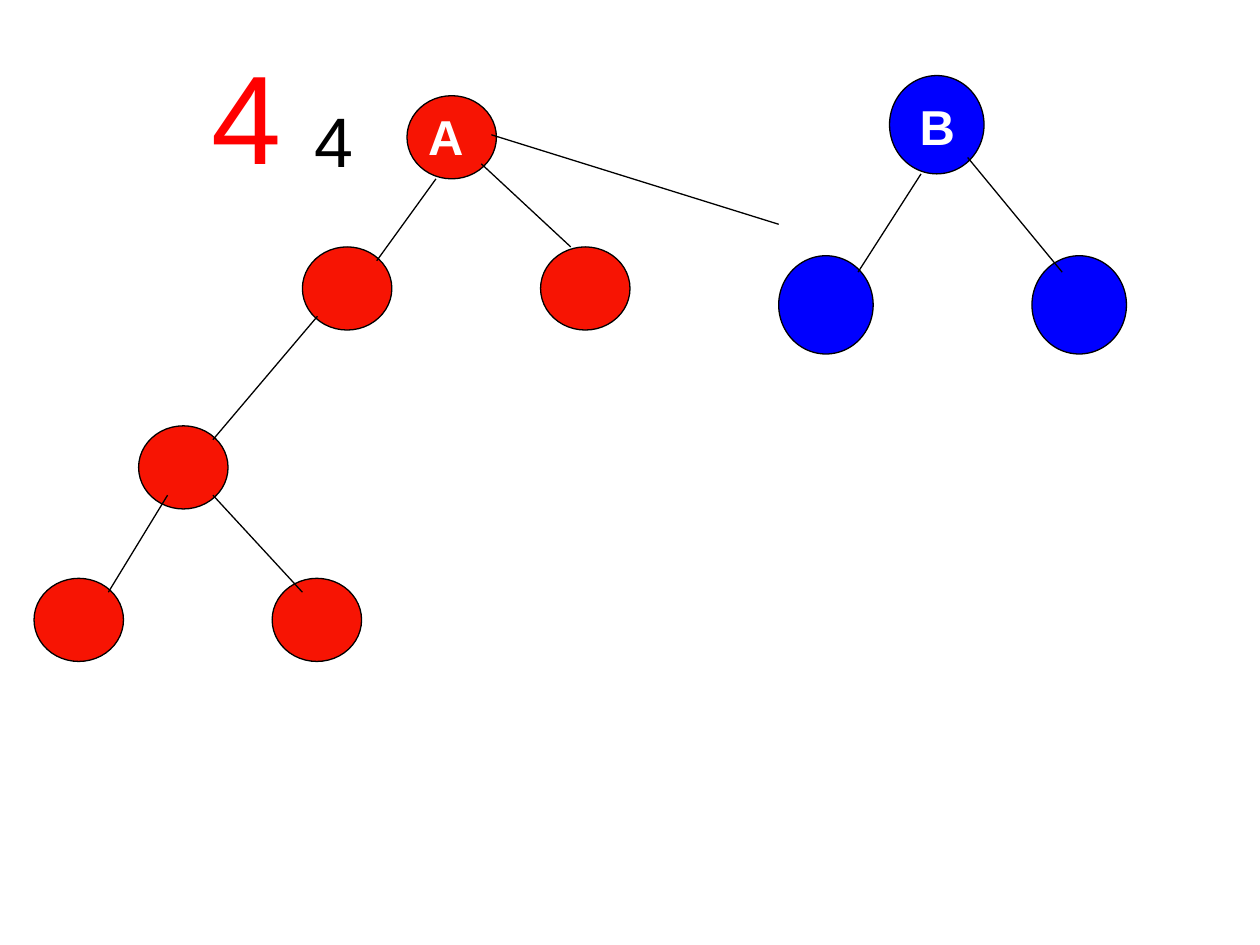
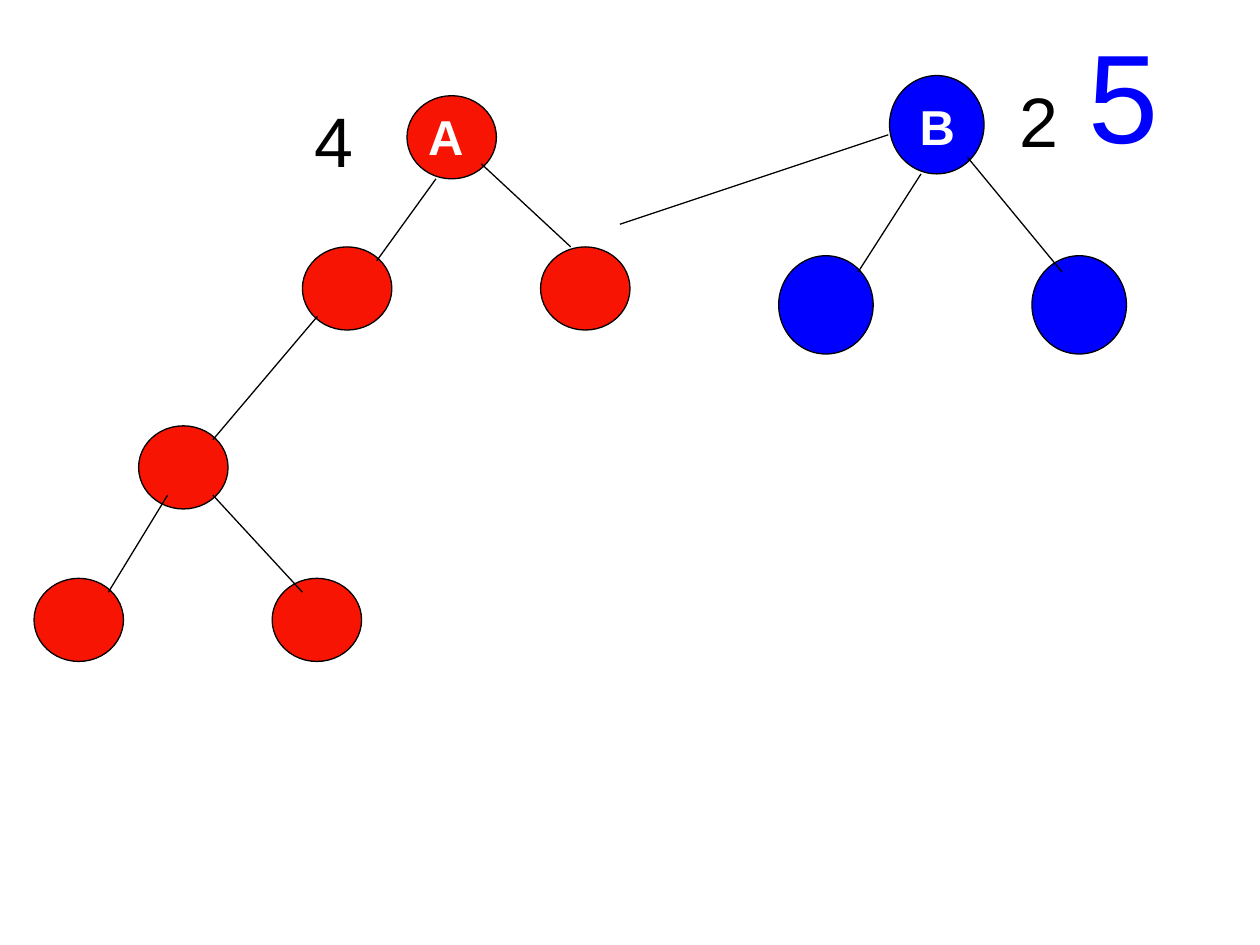
"""Builds two slides that compare linking tree A under B with linking B under A."""
from dataclasses import dataclass, replace
from typing import Any

from lxml.etree import SubElement
from pptx import Presentation
from pptx.dml.color import RGBColor
from pptx.enum.shapes import MSO_CONNECTOR, MSO_SHAPE
from pptx.enum.text import MSO_AUTO_SIZE, MSO_ANCHOR
from pptx.oxml.ns import qn
from pptx.util import Inches, Pt

Point = tuple[float, float]
Edge = tuple[Point, Point]


@dataclass(frozen=True)
class Theme:
    font: str = "Arial"
    red_node: str = "F71403"
    red_text: str = "FF0000"
    blue: str = "0000FF"
    black: str = "000000"
    white: str = "FFFFFF"
    name_size: int = 28
    rank_size: int = 40
    result_size: int = 72
    line_width: float = 0.75
    side_inset: float = 0.1
    edge_inset: float = 0.05
    drop_per_point: float = 0.0012


THEME = Theme()


@dataclass(frozen=True)
class Label:
    text: str
    corner: Point
    size: Point
    points: int
    color: str
    bold: bool = False


@dataclass(frozen=True)
class Tree:
    color: str
    node_size: Point
    nodes: tuple[Point, ...]
    edges: tuple[Edge, ...]
    labels: tuple[Label, ...]


@dataclass(frozen=True)
class LinkSlide:
    trees: tuple[Tree, ...]
    link: Edge
    result: Label


def set_values(target: Any, values: dict[str, Any]) -> None:
    """Set each named attribute of the target."""
    for name, value in values.items():
        setattr(target, name, value)


def style_line(line: Any) -> None:
    """Give an outline or edge the shared stroke."""
    line.color.rgb = RGBColor.from_string(THEME.black)
    line.width = Pt(THEME.line_width)


def draw_node(shapes: Any, tree: Tree, corner: Point) -> None:
    """Draw one round node of a tree."""
    node = shapes.add_shape(MSO_SHAPE.OVAL, *map(Inches, corner + tree.node_size))
    node.shadow.inherit = False
    node.fill.solid()
    node.fill.fore_color.rgb = RGBColor.from_string(tree.color)
    style_line(node.line)


def draw_edge(shapes: Any, edge: Edge) -> None:
    """Draw a straight edge between two points."""
    start, end = edge
    connector = shapes.add_connector(MSO_CONNECTOR.STRAIGHT, *map(Inches, start + end))
    style_line(connector.line)
    SubElement(connector._element.spPr, qn("a:effectLst"))


def draw_label(shapes: Any, label: Label) -> None:
    """Write a name or a rank in its own text box."""
    box = shapes.add_textbox(*map(Inches, label.corner + label.size))
    frame = box.text_frame
    set_values(frame, {
        "word_wrap": True,
        "auto_size": MSO_AUTO_SIZE.SHAPE_TO_FIT_TEXT,
        "vertical_anchor": MSO_ANCHOR.TOP,
        "margin_left": Inches(THEME.side_inset),
        "margin_right": Inches(THEME.side_inset),
        "margin_top": Inches(THEME.edge_inset + label.points * THEME.drop_per_point),
        "margin_bottom": 0,
    })
    run = frame.paragraphs[0].add_run()
    run.text = label.text
    set_values(run.font, {"name": THEME.font, "size": Pt(label.points), "bold": label.bold})
    run.font.color.rgb = RGBColor.from_string(label.color)


def draw_tree(shapes: Any, tree: Tree) -> None:
    """Draw a tree as one group."""
    group = shapes.add_group_shape().shapes
    for corner in tree.nodes:
        draw_node(group, tree, corner)
    for edge in tree.edges:
        draw_edge(group, edge)
    for label in tree.labels:
        draw_label(group, label)


def name_label(text: str, corner: Point, width: float) -> Label:
    """Describe the name of a root node."""
    return Label(text, corner, (width, 0.57), THEME.name_size, THEME.white, True)


def rank_label(text: str, corner: Point, width: float) -> Label:
    """Describe the rank beside a root node."""
    return Label(text, corner, (width, 0.77), THEME.rank_size, THEME.black)


def result_label(text: str, corner: Point, color: str) -> Label:
    """Describe the large rank that follows from a link."""
    return Label(text, corner, (1.65, 1.3), THEME.result_size, color)


TREE_A = Tree(
    color=THEME.red_node,
    node_size=(0.71, 0.66),
    nodes=((3.23, 0.76), (2.4, 1.96), (4.29, 1.96), (1.1, 3.38), (0.27, 4.59), (2.16, 4.59)),
    edges=(
        ((3.46, 1.42), (2.99, 2.07)),
        ((2.52, 2.51), (1.69, 3.49)),
        ((1.33, 3.93), (0.86, 4.7)),
        ((1.69, 3.93), (2.4, 4.7)),
        ((3.82, 1.3), (4.53, 1.96)),
    ),
    labels=(name_label("A", (3.3, 0.76), 0.83), rank_label("4", (2.4, 0.68), 1.02)),
)
TREE_B = Tree(
    color=THEME.blue,
    node_size=(0.75, 0.78),
    nodes=((7.06, 0.6), (6.18, 2.03), (8.19, 2.03)),
    edges=(((7.31, 1.38), (6.81, 2.16)), ((7.68, 1.25), (8.43, 2.16))),
    labels=(name_label("B", (7.2, 0.68), 0.47),),
)
RANKED_TREE_B = replace(TREE_B, labels=TREE_B.labels + (rank_label("2", (7.99, 0.52), 0.79),))

LINK_SLIDES = (
    LinkSlide((TREE_A, TREE_B), ((3.9, 1.07), (6.18, 1.78)),
              result_label("4", (1.58, 0.17), THEME.red_text)),
    LinkSlide((RANKED_TREE_B, TREE_A), ((7.05, 1.07), (4.92, 1.78)),
              result_label("5", (8.54, 0), THEME.blue)),
)


def main() -> None:
    """Build and save the presentation."""
    presentation = Presentation()
    set_values(presentation, {"slide_width": Inches(10), "slide_height": Inches(7.5)})
    for link_slide in LINK_SLIDES:
        shapes = presentation.slides.add_slide(presentation.slide_layouts[6]).shapes
        for tree in link_slide.trees:
            draw_tree(shapes, tree)
        draw_edge(shapes, link_slide.link)
        draw_label(shapes, link_slide.result)
    presentation.save("out.pptx")


if __name__ == "__main__":
    main()
